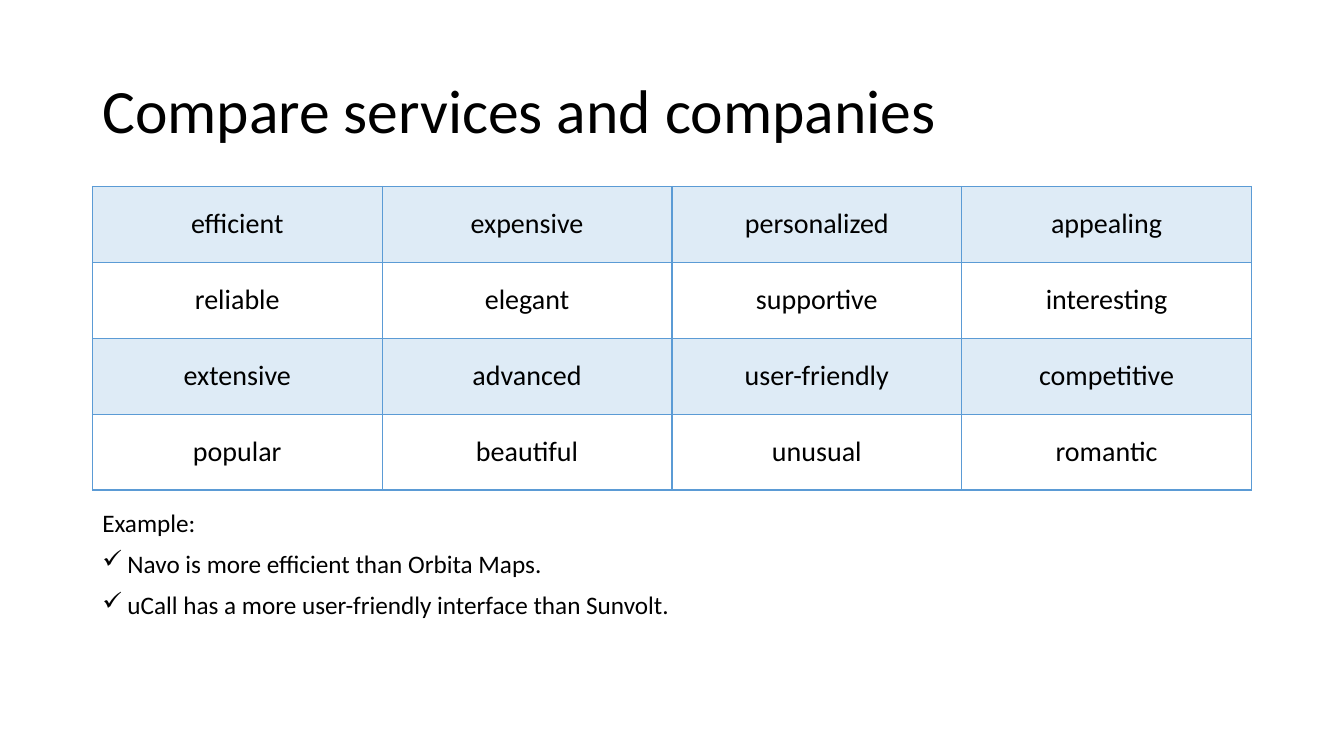
from lxml import etree
from pptx import Presentation
from pptx.dml.color import RGBColor
from pptx.enum.text import MSO_ANCHOR, PP_ALIGN
from pptx.oxml.ns import qn
from pptx.util import Pt

MIDDLE = MSO_ANCHOR.MIDDLE
LEFT, CENTER = PP_ALIGN.LEFT, PP_ALIGN.CENTER

# Content
TITLE = "Compare services and companies"
WORDS = [
    ("efficient", "expensive", "personalized", "appealing"),
    ("reliable", "elegant", "supportive", "interesting"),
    ("extensive", "advanced", "user-friendly", "competitive"),
    ("popular", "beautiful", "unusual", "romantic"),
]
INTRO = "Example:"
SAMPLES = [
    "Navo is more efficient than Orbita Maps.",
    "uCall has a more user-friendly interface than Sunvolt.",
]

# Style and layout, in points
FONT = "Calibri"
COLORS = {"text": "000000", "blue": "5B9BD5"}
X, WIDTH = 66, 828
TITLE_Y, TITLE_H = 28.8, 104.4
GRID_Y, ROW_H = 133.2, 54.2
NOTE_Y, NOTE_H = 322.6, 162.7
INDENT = 18


def write(par, text, size=18, align=LEFT, line=1.0, before=0, mark=None):
    par.alignment = align
    par.line_spacing = line
    par.space_before = Pt(before)
    run = par.add_run()
    run.text = text
    run.font.name = FONT
    run.font.size = Pt(size)
    run.font.color.rgb = RGBColor.from_string(COLORS["text"])
    if mark:
        props = par._p.get_or_add_pPr()
        props.set("marL", str(Pt(INDENT)))
        props.set("indent", str(-Pt(INDENT)))
        etree.SubElement(props, qn("a:buChar"), char=mark)


def add_box(slide, top, height):
    box = slide.shapes.add_textbox(Pt(X), Pt(top), Pt(WIDTH), Pt(height))
    frame = box.text_frame
    frame.word_wrap = True
    frame.vertical_anchor = MIDDLE
    return frame


def add_edges(cell):
    props = cell._tc.get_or_add_tcPr()
    for side in ("lnL", "lnR", "lnT", "lnB"):
        edge = etree.SubElement(props, qn("a:" + side), w=str(Pt(1)))
        fill = etree.SubElement(edge, qn("a:solidFill"))
        etree.SubElement(fill, qn("a:srgbClr"), val=COLORS["blue"])


def tint(cell):
    cell.fill.solid()
    cell.fill.fore_color.rgb = RGBColor.from_string(COLORS["blue"])
    color = cell._tc.tcPr.find(qn("a:solidFill")).find(qn("a:srgbClr"))
    etree.SubElement(color, qn("a:alpha"), val="20000")


def add_grid(slide):
    rows, cols = len(WORDS), len(WORDS[0])
    table = slide.shapes.add_table(
        rows, cols, Pt(X), Pt(GRID_Y), Pt(WIDTH), Pt(rows * ROW_H)).table
    table.first_row = False
    table.horz_banding = False
    for r, words in enumerate(WORDS):
        for c, word in enumerate(words):
            cell = table.cell(r, c)
            cell.vertical_anchor = MIDDLE
            write(cell.text_frame.paragraphs[0], word, size=20, align=CENTER)
            add_edges(cell)
            if r % 2 == 0:
                tint(cell)
            else:
                cell.fill.background()


def main():
    deck = Presentation()
    deck.slide_width, deck.slide_height = Pt(960), Pt(540)
    slide = deck.slides.add_slide(deck.slide_layouts[6])

    # Title
    title = add_box(slide, TITLE_Y, TITLE_H)
    write(title.paragraphs[0], TITLE, size=44, line=0.9)

    # Word table
    add_grid(slide)

    # Example sentences
    note = add_box(slide, NOTE_Y, NOTE_H)
    write(note.paragraphs[0], INTRO, line=0.9, before=10)
    for text in SAMPLES:
        write(note.add_paragraph(), text, line=0.9, before=10, mark="✓")

    deck.save("out.pptx")


if __name__ == "__main__":
    main()
